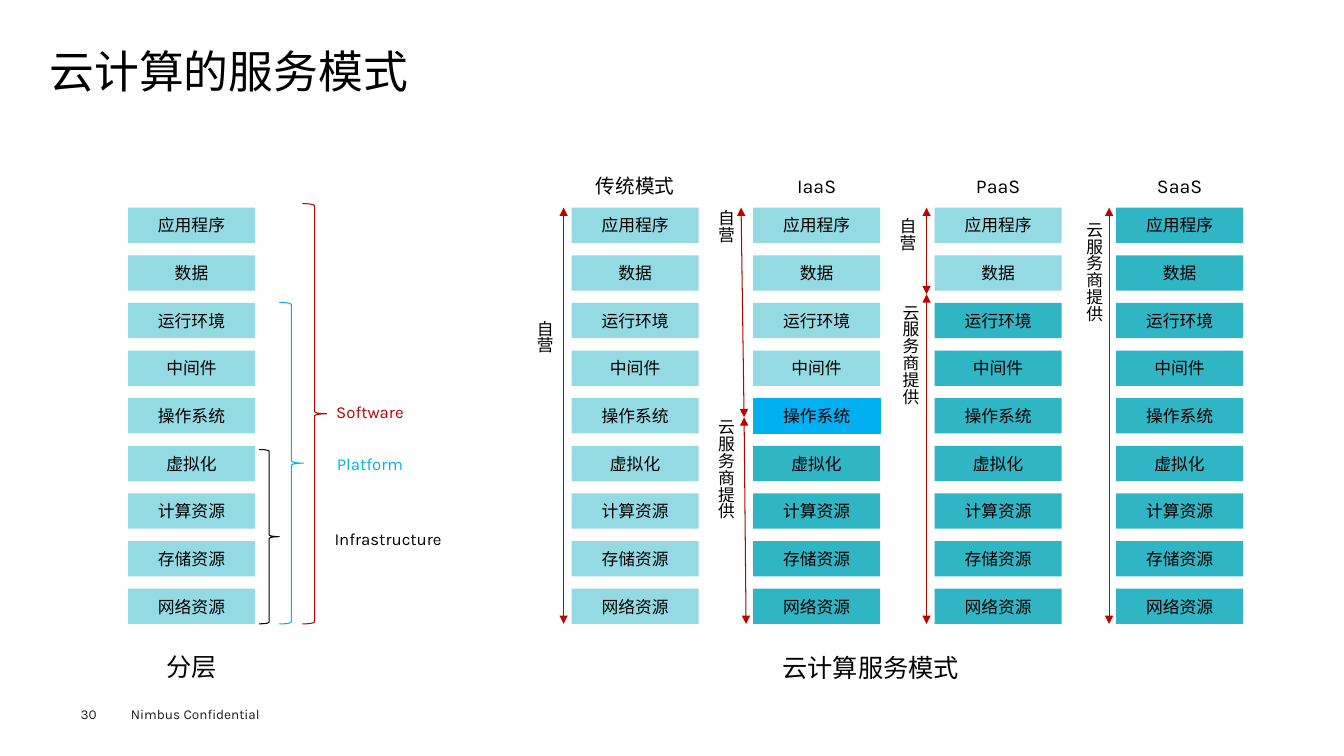
from dataclasses import dataclass

from lxml import etree
from pptx import Presentation, util as u
from pptx.dml.color import RGBColor
from pptx.enum import shapes, text
from pptx.oxml import ns

Inches = u.Inches


@dataclass(frozen=True)
class Theme:
    font: str = "Karla"
    ink: str = "000000"
    footer_ink: str = "1D1D1B"
    light: str = "94DAE2"
    teal: str = "30B5C5"
    blue: str = "00B0F0"
    red: str = "C00000"
    title: float = 32
    caption: float = 18
    heading: float = 14
    body: float = 12
    footer: float = 9.7
    stroke: float = 0.75


THEME = Theme()
LAYERS = ["应用程序", "数据", "运行环境", "中间件", "操作系统",
          "虚拟化", "计算资源", "存储资源", "网络资源"]
LAYER_WIDTH, LAYER_HEIGHT, STACK_HEIGHT = 1.26, 0.35, 4.13
LAYER_STEP = (STACK_HEIGHT - LAYER_HEIGHT) / (len(LAYERS) - 1)
COLUMN_STEP = 1.8
SELF_RUN, PROVIDED = "自营", "云服务商提供"

# Each service model: layer colours, arrows (from and to),
# and vertical notes (text, place, height), relative to its stack
MODELS = [
    ("传统模式", [THEME.light] * 9,
     [(-0.08, 0, -0.08, 4.13)],
     [(SELF_RUN, -0.54, 1.02, 2.01)]),
    ("IaaS", [THEME.light] * 4 + [THEME.blue] + [THEME.teal] * 4,
     [(-0.12, 0, -0.09, 2.08), (-0.09, 2.08, -0.07, 4.13)],
     [(SELF_RUN, -0.54, -0.08, 2.01), (PROVIDED, -0.54, 2, 2.01)]),
    ("PaaS", [THEME.light] * 2 + [THEME.teal] * 7,
     [(-0.08, 0, -0.08, 0.86), (-0.08, 0.86, -0.08, 4.13)],
     [(SELF_RUN, -0.54, 0, 0.91), (PROVIDED, -0.51, 0.86, 3.15)]),
    ("SaaS", [THEME.teal] * 9,
     [(-0.07, 0, -0.07, 4.13)],
     [(PROVIDED, -0.49, 0.04, 3.98)]),
]


def apply_format(target, values):
    for name, value in values.items():
        setattr(target, name, value)


def write(shape, words, size=THEME.body, color=THEME.ink,
          align=text.PP_ALIGN.CENTER, **frame_format):
    frame = shape.text_frame
    apply_format(frame, {"word_wrap": True,
                         "vertical_anchor": text.MSO_ANCHOR.MIDDLE,
                         **frame_format})
    para = frame.paragraphs[0]
    para.alignment = align
    span = para.add_run()
    span.text = words
    apply_format(span.font, {"name": THEME.font, "size": u.Pt(size)})
    span.font.color.rgb = RGBColor.from_string(color)


def add_label(page, box, words, **style):
    label = page.shapes.add_textbox(*map(Inches, box))
    write(label, words, **style)
    return label


def set_stroke(line, color):
    line.color.rgb = RGBColor.from_string(color)
    line.width = u.Pt(THEME.stroke)


def add_arrow(page, points):
    arrow = page.shapes.add_connector(shapes.MSO_CONNECTOR.STRAIGHT,
                                      *map(Inches, points))
    set_stroke(arrow.line, THEME.red)
    properties = arrow._element.spPr
    stroke = properties.find(ns.qn("a:ln"))
    for end in ("a:headEnd", "a:tailEnd"):
        etree.SubElement(stroke, ns.qn(end), type="triangle")
    etree.SubElement(properties, ns.qn("a:effectLst"))


def add_brace(page, box, color):
    brace = page.shapes.add_shape(shapes.MSO_SHAPE.RIGHT_BRACE, *map(Inches, box))
    brace.shadow.inherit = False
    brace.fill.background()
    set_stroke(brace.line, color)


def draw_stack(page, left, top, colors):
    for row, (words, color) in enumerate(zip(LAYERS, colors)):
        layer = page.shapes.add_shape(
            shapes.MSO_SHAPE.RECTANGLE, Inches(left), Inches(top + row * LAYER_STEP),
            Inches(LAYER_WIDTH), Inches(LAYER_HEIGHT))
        layer.shadow.inherit = False
        layer.fill.solid()
        layer.fill.fore_color.rgb = RGBColor.from_string(color)
        if color == THEME.blue:
            set_stroke(layer.line, color)
        else:
            layer.line.fill.background()
        write(layer, words)


def draw_layering(page, left, top):
    draw_stack(page, left, top, [THEME.light] * len(LAYERS))
    # Braces end with the stack and carry a label each
    for words, color, brace_left, brace_top, width, label_box in [
        ("Infrastructure", THEME.ink, 1.3, 2.4, 0.2, (1.93, 3.15, 1.3)),
        ("Platform", THEME.blue, 1.5, 0.94, 0.24, (1.77, 2.4, 1.26)),
        ("Software", THEME.red, 1.73, -0.04, 0.24, (1.77, 1.89, 1.26)),
    ]:
        add_brace(page, (left + brace_left, top + brace_top,
                         width, STACK_HEIGHT - brace_top), color)
        label_left, label_top, label_width = label_box
        add_label(page, (left + label_left, top + label_top, label_width, 0.28),
                  words, color=color)
    add_label(page, (left, top + 4.41, LAYER_WIDTH, 0.28), "分层",
              size=THEME.caption)


def draw_model(page, left, top, heading, colors, arrows, notes):
    draw_stack(page, left, top, colors)
    add_label(page, (left, top - 0.36, LAYER_WIDTH, 0.28), heading,
              size=THEME.heading)
    for x1, y1, x2, y2 in arrows:
        add_arrow(page, (left + x1, top + y1, left + x2, top + y2))
    for words, x, y, height in notes:
        note = add_label(page, (left + x, top + y, 0.42, height), words,
                         align=text.PP_ALIGN.LEFT,
                         vertical_anchor=text.MSO_ANCHOR.TOP)
        note.text_frame._txBody.bodyPr.set("vert", "eaVert")


def draw_models(page, left, top):
    for column, model in enumerate(MODELS):
        draw_model(page, left + column * COLUMN_STEP, top, *model)
    add_label(page, (left + 1.35, top + 4.41, 3.23, 0.31), "云计算服务模式",
              size=THEME.caption)


def draw_title(page, left, top, width, height):
    title = page.shapes.title
    apply_format(title, {"left": Inches(left), "top": Inches(top),
                         "width": Inches(width), "height": Inches(height)})
    write(title, "云计算的服务模式", size=THEME.title, align=text.PP_ALIGN.LEFT,
          vertical_anchor=text.MSO_ANCHOR.TOP, auto_size=text.MSO_AUTO_SIZE.NONE,
          margin_left=0, margin_right=0, margin_top=0, margin_bottom=0)
    title.text_frame.paragraphs[0].line_spacing = 0.9


def draw_footer(page, left, top):
    style = {"size": THEME.footer, "color": THEME.footer_ink,
             "align": text.PP_ALIGN.LEFT, "vertical_anchor": text.MSO_ANCHOR.TOP}
    add_label(page, (left, top + 0.05, 0.55, 0.16), "30", margin_left=0,
              margin_right=0, margin_top=0, margin_bottom=0, **style)
    add_label(page, (left + 0.4, top, 1.6, 0.27), "Nimbus Confidential", **style)


def main():
    deck = Presentation()
    deck.slide_width, deck.slide_height = Inches(13.33), Inches(7.5)
    page = deck.slides.add_slide(deck.slide_layouts.get_by_name("Title Only"))
    draw_title(page, 0.49, 0.49, 12.35, 0.54)
    draw_layering(page, 1.27, 2.06)
    draw_models(page, 5.67, 2.06)
    draw_footer(page, 0.8, 6.95)
    deck.save("out.pptx")


if __name__ == "__main__":
    main()
